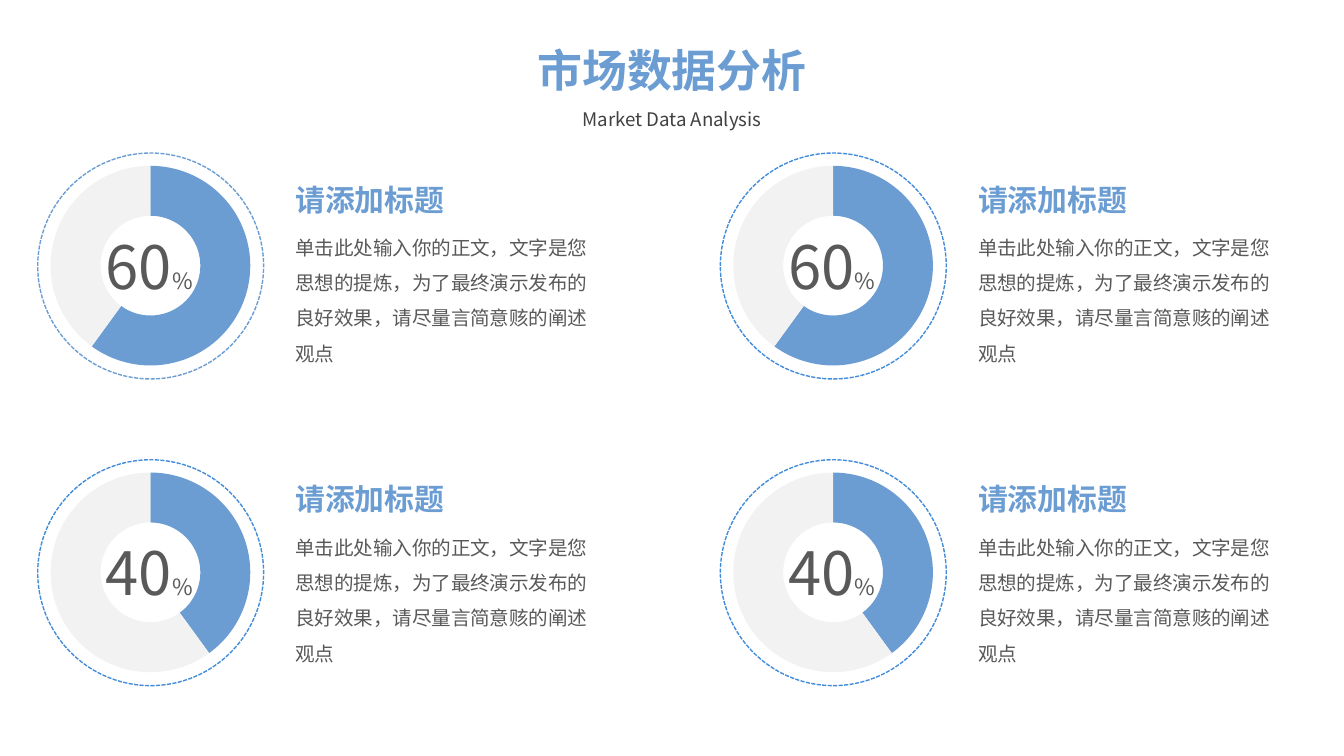
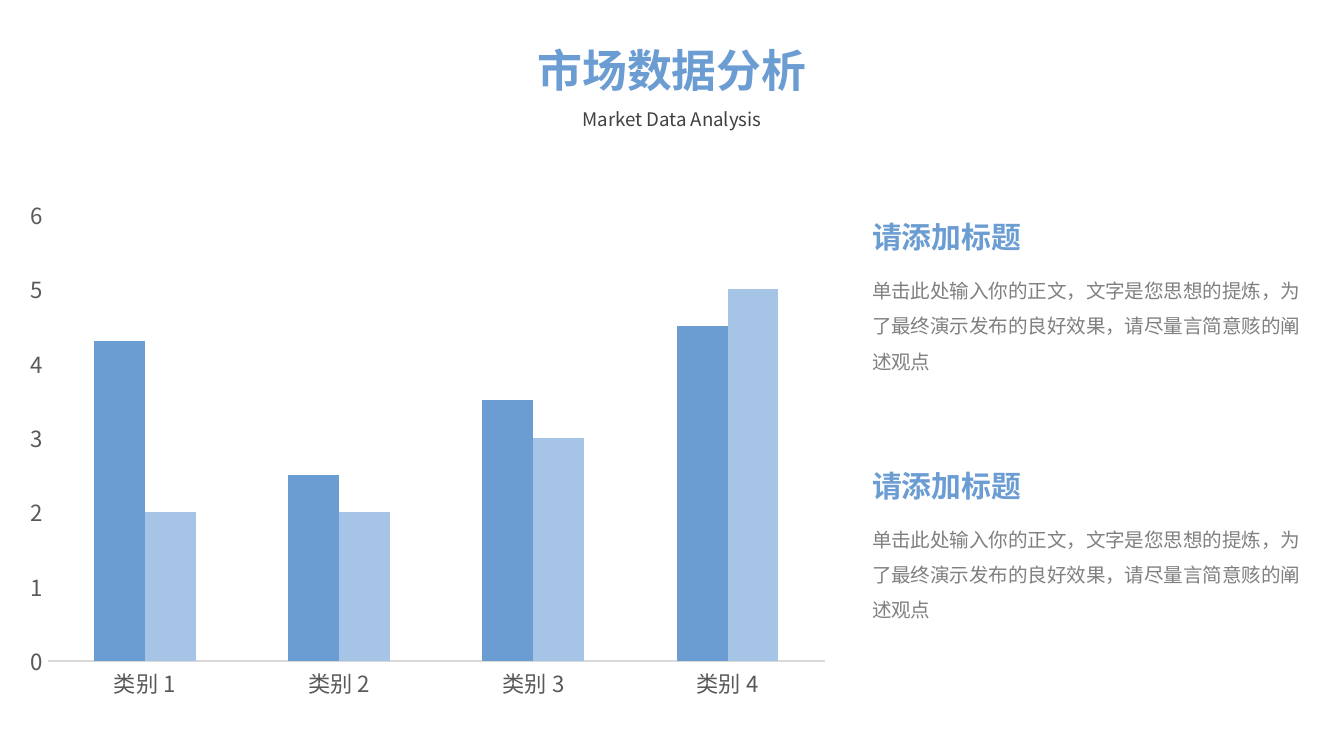
from dataclasses import dataclass
from typing import Any

from lxml.etree import SubElement
from pptx import Presentation
from pptx.chart.data import CategoryChartData as Data
from pptx.dml.color import RGBColor
from pptx.enum.chart import XL_CHART_TYPE as Kind, XL_TICK_MARK as Tick
from pptx.enum.dml import MSO_LINE as Dash
from pptx.enum.shapes import MSO_SHAPE as Form
from pptx.enum.text import MSO_AUTO_SIZE as Fit, PP_ALIGN as Align
from pptx.oxml.ns import qn
from pptx.util import Pt

# Shared look
BLUE, PALE, RIM = "6B9DD3", "A6C4E5", "428CDB"
BLACK, DARK, INK, GRAY = "000000", "404040", "595959", "808080"
MIST, RULE = "F2F2F2", "D9D9D9"
SANS, BODY = "Noto Sans CJK SC", "Calibri"
HEAD = "请添加标题"
PROSE = ("单击此处输入你的正文，文字是您思想的提炼，"
         "为了最终演示发布的良好效果，请尽量言简意赅的阐述观点")


@dataclass(frozen=True)
class Box:
    x: float
    y: float
    w: float
    h: float

    def pts(self) -> list[Pt]:
        return [Pt(v) for v in (self.x, self.y, self.w, self.h)]


@dataclass(frozen=True)
class Dial:
    """A ring chart with its percentage and a note on the right."""
    x: float
    y: float
    note: float
    share: int
    rim: str = RIM


@dataclass(frozen=True)
class Bars:
    name: str
    vals: tuple[float, ...]
    color: str


DIALS = [
    Dial(20.2, 82, 93.6, 60, BLUE),
    Dial(20.2, 246.3, 254.2, 40),
    Dial(385.9, 82, 93.6, 60),
    Dial(385.9, 246.3, 254.2, 40),
]
CATS = [f"类别 {n}" for n in range(1, 5)]
BARS = [
    Bars("Series 1", (4.3, 2.5, 3.5, 4.5), BLUE),
    Bars("Series 2", (2, 2, 3, 5), PALE),
]


def rgb(code: str) -> RGBColor:
    return RGBColor.from_string(code)


def paint(fill: Any, code: str) -> None:
    fill.solid()
    fill.fore_color.rgb = rgb(code)


def style(font: Any, size: float, color: str, face: str = SANS) -> None:
    font.size = Pt(size)
    font.name = face
    font.color.rgb = rgb(color)


def write(slide: Any, box: Box, text: str, *, size: float, color: str,
          face: str = SANS, bold: bool = False, wrap: bool = True,
          align: Any = Align.LEFT, lead: float | None = None,
          tail: str = "", small: float = 12) -> None:
    """Add a text box; tail is a smaller closing run."""
    frame = slide.shapes.add_textbox(*box.pts()).text_frame
    frame.word_wrap = wrap
    frame.auto_size = Fit.SHAPE_TO_FIT_TEXT
    para = frame.paragraphs[0]
    para.alignment = align
    if lead:
        para.line_spacing = lead
    for part, pts in ((text, size), (tail, small)):
        if part:
            run = para.add_run()
            run.text = part
            style(run.font, pts, color, face)
            run.font.bold = bold
            SubElement(run.font._element, qn("a:ea"), typeface=SANS)


def plot(slide: Any, kind: Any, box: Box, data: Data, area: Box) -> Any:
    """Add a chart whose plot fills the given fractions of its frame."""
    chart = slide.shapes.add_chart(kind, *box.pts(), data).chart
    chart.has_legend = chart.has_title = False
    style(chart.font, 10, BLACK, BODY)
    zone = chart._chartSpace.chart.plotArea
    for old in zone.findall(qn("c:layout")):
        zone.remove(old)
    lay = SubElement(zone, qn("c:layout"))
    zone.insert(0, lay)
    man = SubElement(lay, qn("c:manualLayout"))
    rules = [("layoutTarget", "inner"), ("xMode", "edge"), ("yMode", "edge"),
             ("x", area.x), ("y", area.y), ("w", area.w), ("h", area.h)]
    for tag, val in rules:
        SubElement(man, qn(f"c:{tag}"), val=str(val))
    return chart


def title(slide: Any) -> None:
    write(slide, Box(280, 19.4, 160, 36), "市场数据分析", size=24,
          color=BLUE, bold=True, wrap=False, align=Align.CENTER)
    write(slide, Box(290.2, 48.2, 139.7, 23), "Market Data Analysis",
          size=10, color=DARK, align=Align.CENTER, lead=1.5)


def note(slide: Any, x: float, y: float, gap: float, wide: float,
         high: float, color: str) -> None:
    """Add a heading with its paragraph below."""
    write(slide, Box(x, y + gap, wide, high), PROSE, size=10.5,
          color=color, face=BODY, lead=1.5)
    write(slide, Box(x, y, 94.3, 26.6), HEAD, size=16, color=BLUE,
          bold=True, wrap=False)


def dial(slide: Any, it: Dial) -> None:
    # Ring chart
    data = Data()
    data.categories = ["1", "2"]
    data.add_series("Series 1", (it.share, 100 - it.share))
    chart = plot(slide, Kind.DOUGHNUT, Box(it.x - 35.3, it.y - 3.3, 191.5, 127.4),
                 data, Box(0.22, 0.08, 0.56, 0.84))
    ring = chart.plots[0]
    ring.vary_by_categories = True
    ring._element.find(qn("c:holeSize")).set("val", "75")
    for i, color in enumerate((BLUE, MIST)):
        part = ring.series[0].points[i].format
        paint(part.fill, color)
        part.line.fill.background()
    # Dashed rim
    rim = slide.shapes.add_shape(Form.OVAL, *Box(it.x, it.y, 121, 121).pts())
    rim.shadow.inherit = False
    rim.fill.background()
    rim.line.color.rgb = rgb(it.rim)
    rim.line.width = Pt(0.75)
    rim.line.dash_style = Dash.SQUARE_DOT
    # Figure and note
    write(slide, Box(it.x + 24.4, it.y + 37.4, 70.6, 46), str(it.share),
          size=32, color=INK, align=Align.CENTER, tail="%")
    note(slide, it.x + 131, it.note, 23, 177.1, 83.5, INK)


def columns(slide: Any) -> None:
    data = Data()
    data.categories = CATS
    for bar in BARS:
        data.add_series(bar.name, bar.vals)
    chart = plot(slide, Kind.COLUMN_CLUSTERED, Box(7.9, 100.8, 442.8, 280),
                 data, Box(0.04, 0.05, 0.94, 0.855))
    group = chart.plots[0]
    group.gap_width, group.overlap = 182, 0
    group.vary_by_categories = False
    for row, bar in zip(group.series, BARS):
        paint(row.format.fill, bar.color)
        row.invert_if_negative = False
    # Axes
    for axis in (chart.category_axis, chart.value_axis):
        axis.has_major_gridlines = False
        axis.major_tick_mark = axis.minor_tick_mark = Tick.NONE
        style(axis.tick_labels.font, 11.9, INK)
    line = chart.category_axis.format.line
    line.color.rgb = rgb(RULE)
    line.width = Pt(0.75)
    scale = chart.value_axis
    scale.format.line.fill.background()
    scale.minimum_scale, scale.maximum_scale, scale.major_unit = 0, 6, 1


def main() -> None:
    deck = Presentation()
    deck.slide_width, deck.slide_height = Pt(720), Pt(405)
    rings, chart = (deck.slides.add_slide(deck.slide_layouts[6])
                    for _ in range(2))
    # Slide 1: four dials
    title(rings)
    for it in DIALS:
        dial(rings, it)
    # Slide 2: columns and two notes
    columns(chart)
    for y in (113.8, 247):
        note(chart, 460.1, y, 25.9, 252, 64.8, GRAY)
    title(chart)
    deck.save("out.pptx")


if __name__ == "__main__":
    main()
